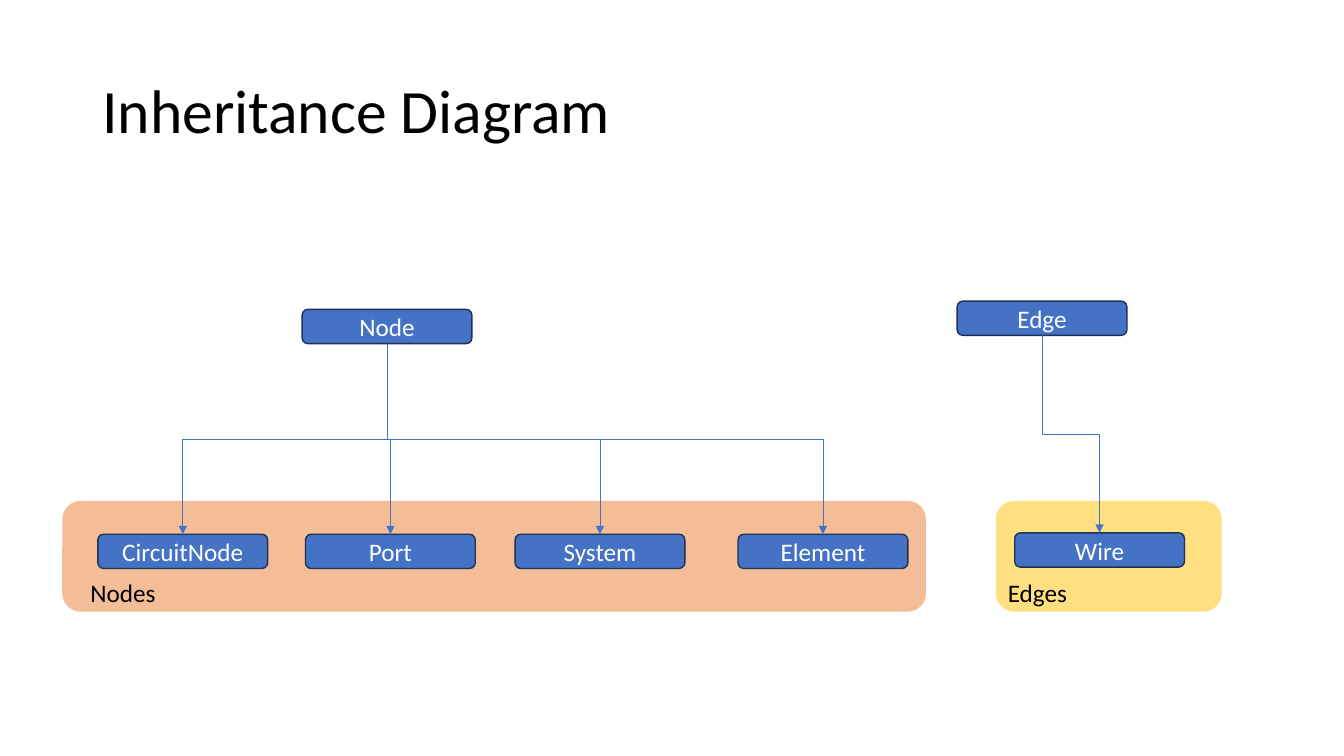
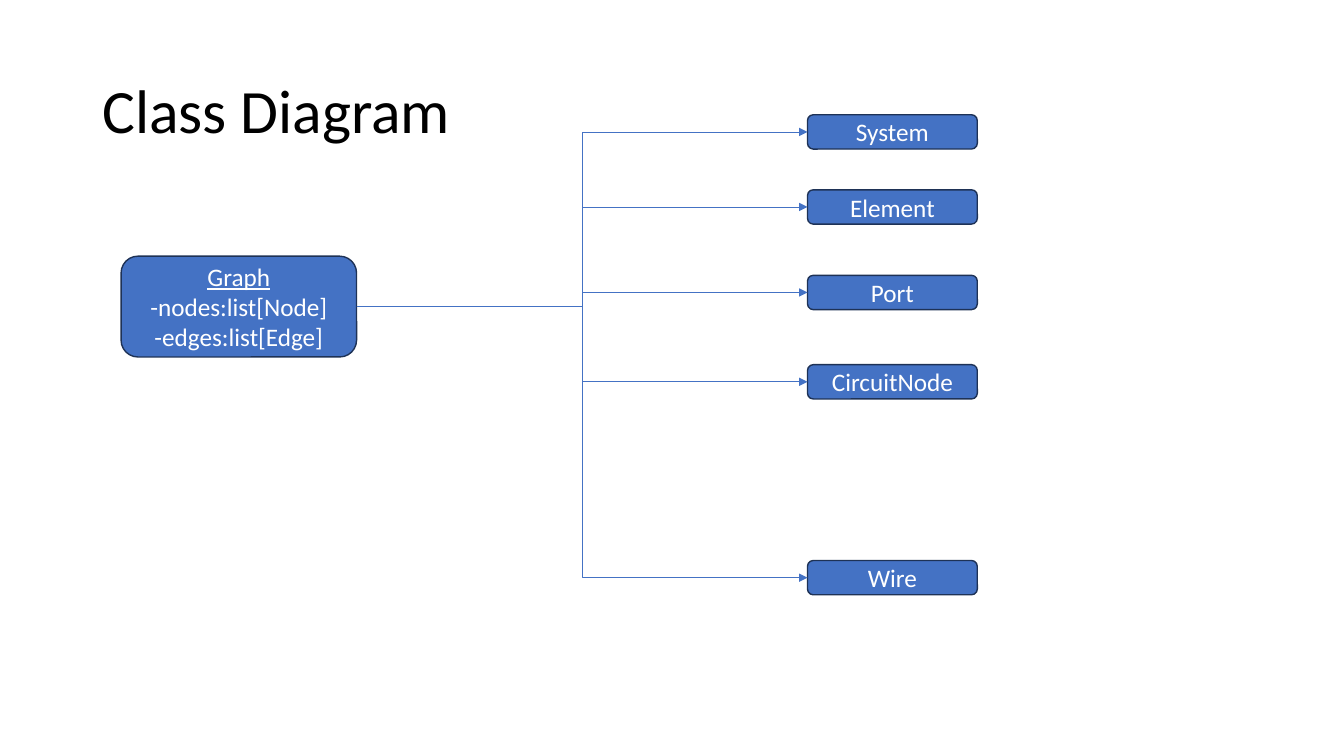
from lxml import etree
from pptx import Presentation
from pptx.dml.color import RGBColor
from pptx.enum.shapes import MSO_CONNECTOR, MSO_SHAPE
from pptx.enum.text import MSO_ANCHOR, PP_ALIGN
from pptx.oxml.ns import qn
from pptx.util import Pt

ROUND = MSO_SHAPE.ROUNDED_RECTANGLE
ELBOW = MSO_CONNECTOR.ELBOW
MIDDLE, TOP = MSO_ANCHOR.MIDDLE, MSO_ANCHOR.TOP
CENTER, LEFT = PP_ALIGN.CENTER, PP_ALIGN.LEFT

# Shared look
BLUE, NAVY, ORANGE, GOLD = "4472C4", "1E3256", "ED7D31", "FFC000"
WHITE, BLACK = "FFFFFF", "000000"
FONT = "Calibri"
BODY, HEAD = Pt(18), Pt(44)
NODE_W, NODE_H = 121.3, 24.5
PANEL_H = 79.2
LEFT_SITE, BOTTOM_SITE, RIGHT_SITE, TOP_SITE = 1, 2, 3, 0


def color(code):
    return RGBColor.from_string(code)


def apply(target, values):
    for name, value in values.items():
        setattr(target, name, value)


def write(shape, lines, ink, size=BODY, align=LEFT, anchor=TOP, gap=None):
    frame = shape.text_frame
    apply(frame, {"word_wrap": True, "vertical_anchor": anchor})
    for i, line in enumerate(lines):
        para = frame.add_paragraph() if i else frame.paragraphs[0]
        apply(para, {"alignment": align, "line_spacing": gap})
        run = para.add_run()
        run.text = line
        apply(run.font, {"name": FONT, "size": size})
        run.font.color.rgb = color(ink)
    return frame


def label(slide, box, text, **style):
    area = slide.shapes.add_textbox(*map(Pt, box))
    write(area, [text], BLACK, **style)


def block(slide, box, fill):
    shape = slide.shapes.add_shape(ROUND, *map(Pt, box))
    shape.shadow.inherit = False
    shape.fill.solid()
    shape.fill.fore_color.rgb = color(fill)
    return shape


def panel(slide, box, fill):
    shape = block(slide, box, fill)
    shape.line.fill.background()
    tint = shape.fill._xPr.find(".//" + qn("a:srgbClr"))
    etree.SubElement(tint, qn("a:alpha")).set("val", "50000")


def node(slide, left, top, lines, width=NODE_W, height=NODE_H):
    shape = block(slide, (left, top, width, height), BLUE)
    shape.line.color.rgb = color(NAVY)
    shape.line.width = Pt(1)
    write(shape, lines, WHITE, align=CENTER, anchor=MIDDLE)
    return shape


def link(slide, start, end, sites):
    line = slide.shapes.add_connector(ELBOW, 0, 0, 0, 0)
    line.begin_connect(start, sites[0])
    line.end_connect(end, sites[1])
    line.line.color.rgb = color(BLUE)
    line.line.width = Pt(0.5)
    rule = line.line._get_or_add_ln()
    etree.SubElement(rule, qn("a:tailEnd")).set("type", "triangle")
    etree.SubElement(line._element.spPr, qn("a:effectLst"))
    return line


def drop(slide, start, end):
    """Turn an elbow so that it leaves downward."""
    line = link(slide, start, end, (BOTTOM_SITE, TOP_SITE))
    right = line.end_x > line.begin_x
    wide, high = line.width, line.height
    mid_x, mid_y = line.left + wide // 2, line.top + high // 2
    apply(line, {"left": mid_x - high // 2, "top": mid_y - wide // 2,
                 "width": high, "height": wide})
    frame = line._element.spPr.find(qn("a:xfrm"))
    frame.set("rot", "16200000" if right else "5400000")
    frame.set("flipH", "1" if right else "0")


def new_slide(deck, title):
    slide = deck.slides.add_slide(deck.slide_layouts[6])
    label(slide, (66, 28.8, 828, 104.4), title,
          size=HEAD, anchor=MIDDLE, gap=0.9)
    return slide


def family(slide, box, fill, name, note, root, kids, row):
    """Parent above a tinted panel that holds its children."""
    left, top, width = box
    panel(slide, (left, top, width, PANEL_H), fill)
    parent = node(slide, left + root[0], top + root[1], [name])
    for text, shift in kids:
        child = node(slide, left + shift, top + row, [text])
        drop(slide, parent, child)
    label(slide, (left + note[1], top + 51, 62.6, 28.8), note[0])


def members(slide, box, lines, kids):
    """Class on the left, linked to its parts in a right column."""
    left, top, width, height = box
    graph = node(slide, left, top + 101, lines, 168.2, 72)
    graph.text_frame.paragraphs[0].runs[0].font.underline = True
    for text, shift in kids:
        child = node(slide, left + width - NODE_W, top + shift, [text])
        link(slide, graph, child, (RIGHT_SITE, LEFT_SITE))


def main():
    deck = Presentation()
    apply(deck, {"slide_width": Pt(960), "slide_height": Pt(540)})

    # Inheritance
    slide = new_slide(deck, "Inheritance Diagram")
    family(slide, (44.5, 357.8, 617), ORANGE, "Node", ("Nodes", 13),
           (171.3, -136.8),
           [("CircuitNode", 25.4), ("Port", 173.7),
            ("System", 323.4), ("Element", 482.7)], 23.8)
    family(slide, (711.4, 357.8, 161.3), GOLD, "Edge", ("Edges", 1.4),
           (-27.7, -142.7), [("Wire", 13.4)], 22.8)

    # Class members
    slide = new_slide(deck, "Class Diagram")
    members(slide, (86.5, 82, 611.6, 343),
            ["Graph", "-nodes:list[Node]", "-edges:list[Edge]"],
            [("System", 0), ("Element", 53.6), ("Port", 114.7),
             ("CircuitNode", 178.5), ("Wire", 318.4)])

    deck.save("out.pptx")


if __name__ == "__main__":
    main()
